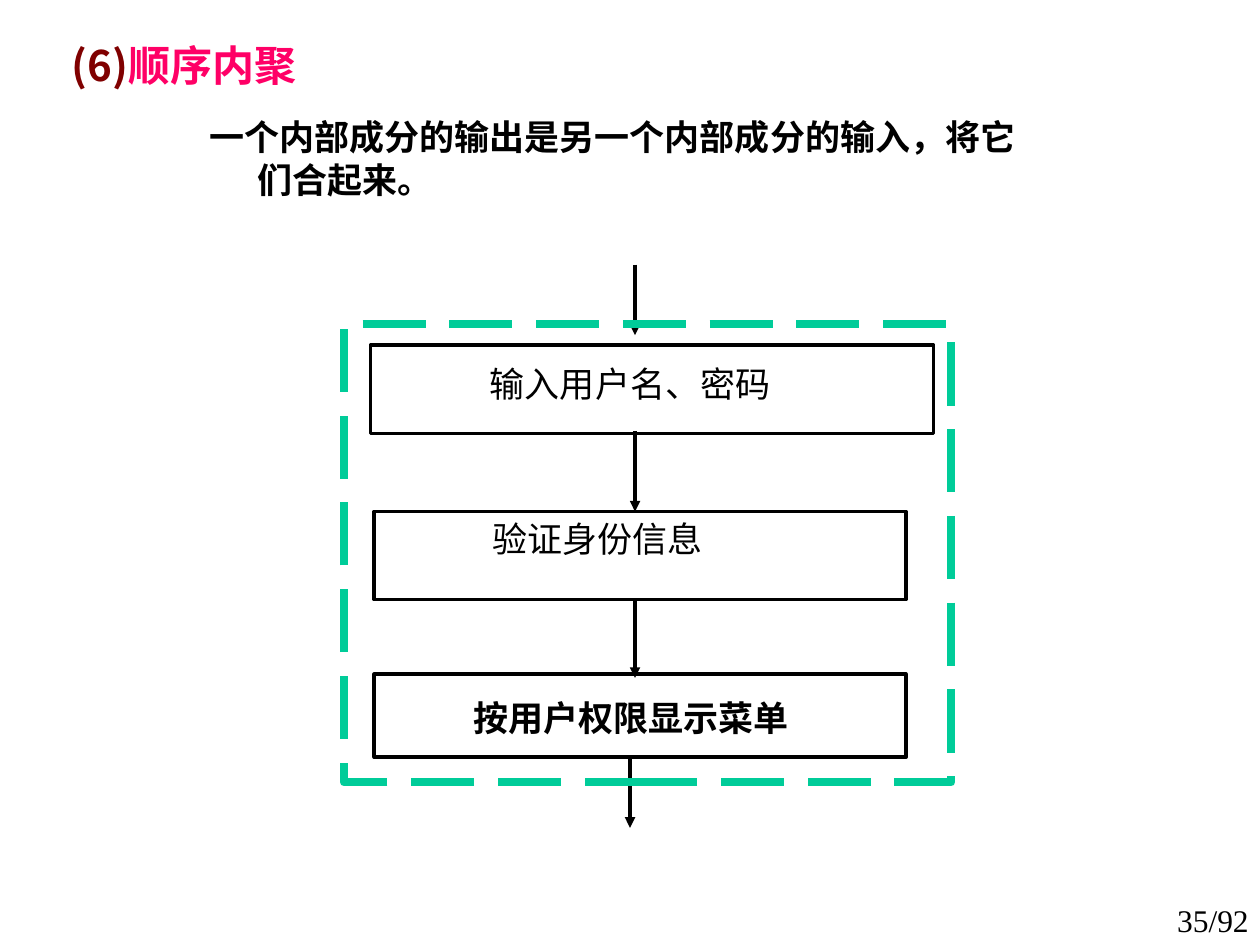
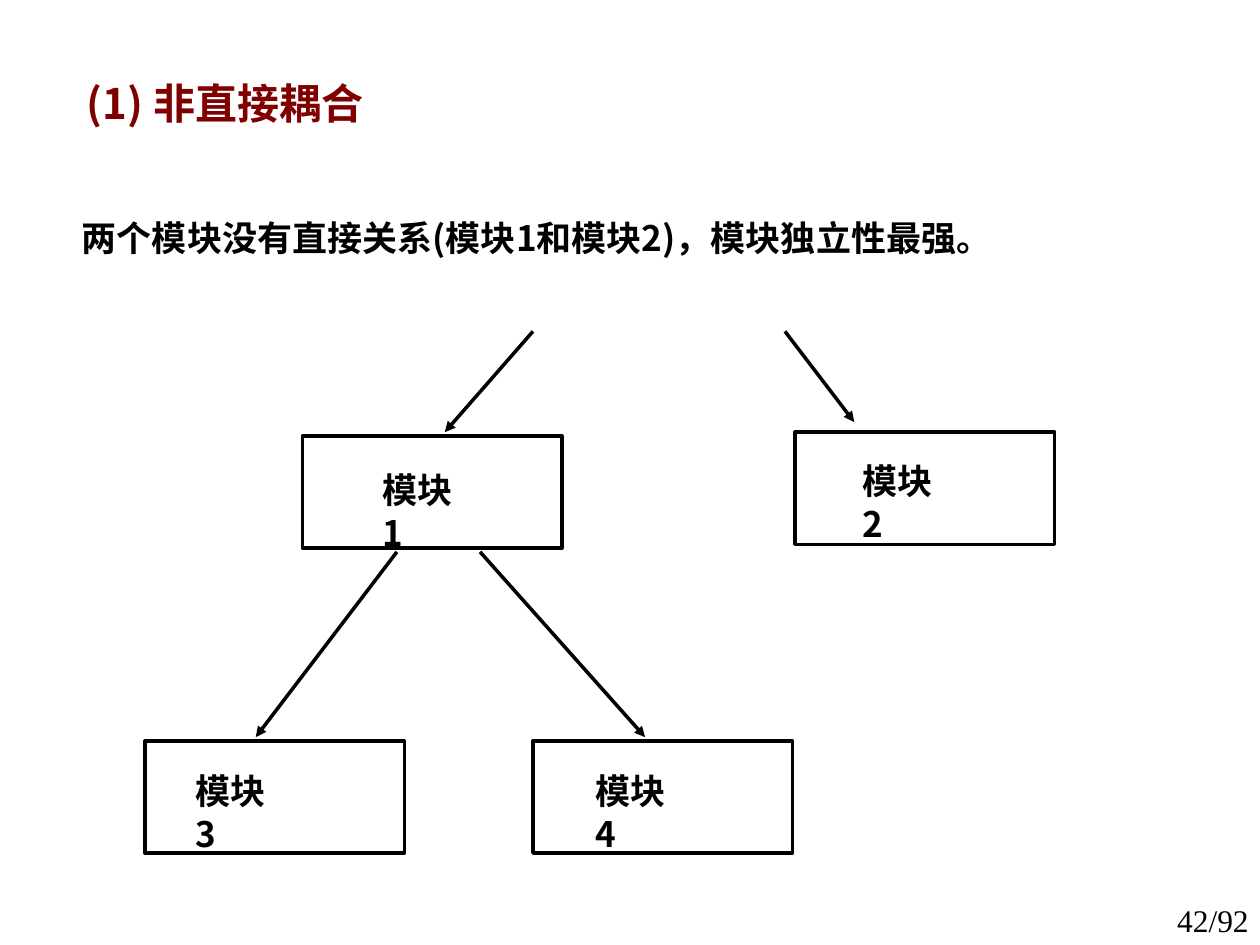
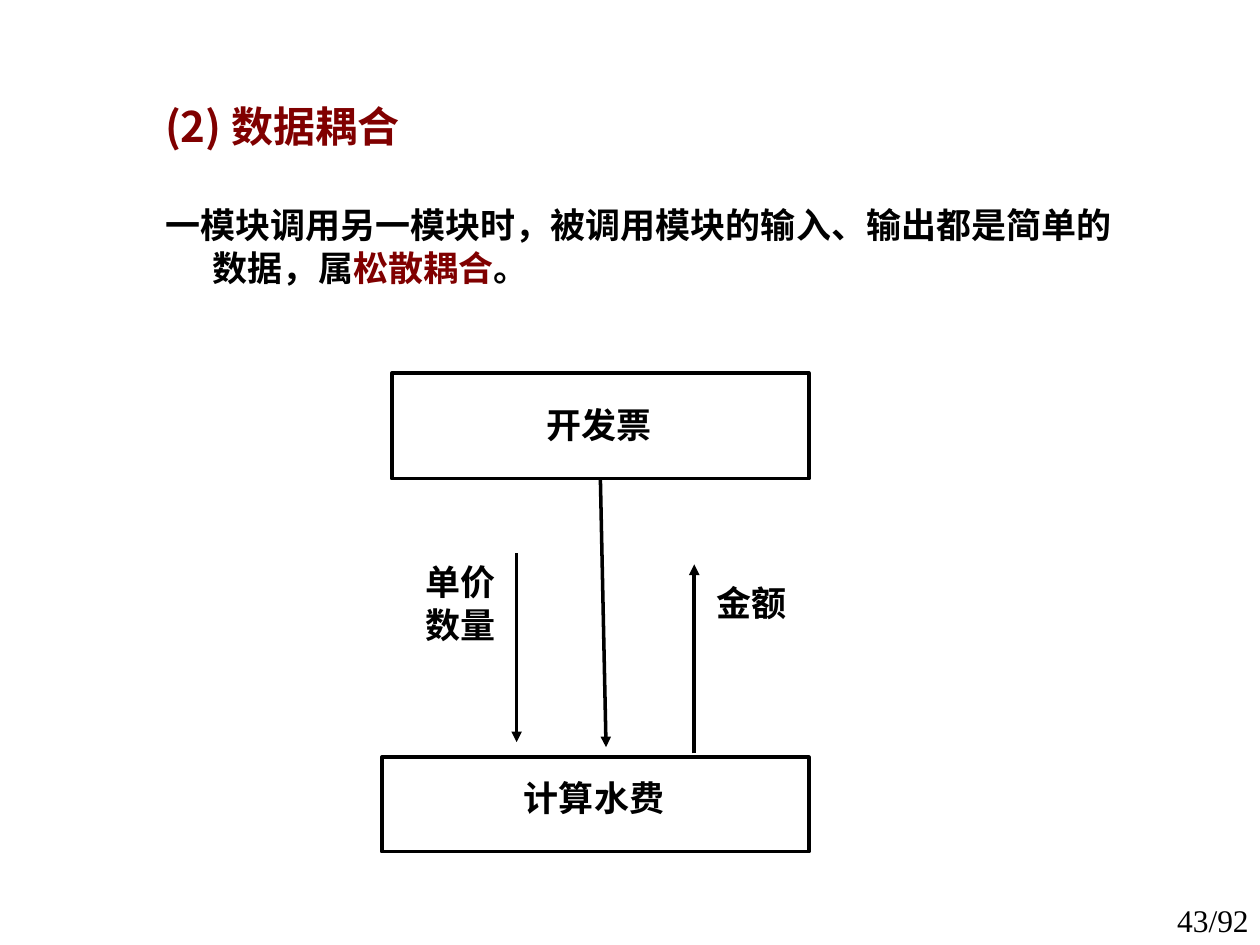
from lxml.etree import SubElement
from pptx import Presentation
from pptx.dml.color import RGBColor
from pptx.enum.dml import MSO_LINE
from pptx.enum.shapes import MSO_CONNECTOR, MSO_SHAPE
from pptx.enum.text import MSO_ANCHOR, MSO_AUTO_SIZE, PP_ALIGN
from pptx.oxml.ns import qn
from pptx.util import Inches, Pt

BLACK = RGBColor(0x00, 0x00, 0x00)
WHITE = RGBColor(0xFF, 0xFF, 0xFF)
MAROON = RGBColor(0x80, 0x00, 0x00)
PINK = RGBColor(0xFF, 0x00, 0x66)
GREEN = RGBColor(0x00, 0xCC, 0x99)
SANS = "Noto Sans CJK SC"
SERIF = "Times New Roman"

deck = Presentation()
deck.slide_width = Inches(10)
deck.slide_height = Inches(7.5)
COL = deck.slide_width / 100
ROW = deck.slide_height / 75


def grid(left, top, *size):
    spot = [left, top, *size]
    return [round(n * unit) for n, unit in zip(spot, (COL, ROW) * 2)]


def write(shape, text, size=20, bold=True, face=SANS, align=PP_ALIGN.LEFT,
          anchor=MSO_ANCHOR.TOP, wrap=True, pitch=Pt(24.5), hang=0):
    frame = shape.text_frame
    frame.word_wrap = wrap
    frame.auto_size = MSO_AUTO_SIZE.NONE
    frame.vertical_anchor = anchor
    rows = [[(line, BLACK)] for line in text.split("\n")] if isinstance(text, str) else [text]
    for i, row in enumerate(rows):
        para = frame.add_paragraph() if i else frame.paragraphs[0]
        para.alignment = align
        para.line_spacing = pitch
        para.space_before = Pt(0)
        props = para._p.get_or_add_pPr()
        props.set("marL", str(hang))
        props.set("indent", str(-hang))
        SubElement(props, qn("a:buNone"))
        for words, tint in row:
            run = para.add_run()
            run.text = words
            run.font.size = Pt(size)
            run.font.bold = bold
            run.font.color.rgb = tint
            run.font.name = face
            SubElement(run._r.get_or_add_rPr(), qn("a:ea")).set("typeface", SANS)


pages = [
    dict(
        num="35/92",
        title=([("(6)", MAROON), ("顺序内聚", PINK)], (4.7, 0, 64.2, 10.2)),
        body=([("一个内部成分的输出是另一个内部成分的输入，将它们合起来。", BLACK)],
              (15.6, 8.6, 68.7, 9.6)),
        rects=[(29.4, 27.4, 44.7, 7), (29.7, 40.6, 42.2, 7), (29.7, 53.5, 42.2, 6.6)],
        lines=[(50.4, 21, 50.4, 26.6), (50.4, 34.2, 50.4, 40.6),
               (50.4, 47.7, 50.4, 53.8), (50, 60.2, 50, 65.7)],
        tags=[("输入用户名、密码", False, (37.9, 28.2, 24.3, 4.3)),
              ("验证身份信息", False, (38.1, 40.5, 18.7, 4.3)),
              ("按用户权限显示菜单", True, (36.6, 54.7, 40.2, 4.3))],
        frames=[(27.3, 25.7, 48.2, 36.4)],
    ),
    dict(
        num="42/92",
        title=([("(1) 非直接耦合", MAROON)], (5.9, 3.9, 67.5, 8.5)),
        body=([("两个模块没有直接关系(模块1和模块2)，模块独立性最强。", BLACK)],
              (5.5, 16.6, 92, 5)),
        rects=[(left, top, 20.6, 8.9) for left, top in
               ((24, 34.6), (63.1, 34.3), (11.5, 58.8), (42.3, 58.8))],
        lines=[(38.1, 43.8, 51.2, 58.5), (31.5, 43.8, 20.3, 58.5),
               (42.3, 26.3, 35.3, 34.3), (62.3, 26.3, 67.8, 33.5)],
        tags=[(f"模块\u200b{i}".replace("\u200b", ""), True, (left, top, 9, 7.7)) for i, (left, top) in
              enumerate(((29.4, 36.6), (67.5, 35.9), (14.5, 60.5), (46.3, 60.5)), 1)],
        frames=[],
    ),
    dict(
        num="43/92",
        title=([("(2) 数据耦合", MAROON)], (12.1, 4.9, 74.2, 10.2)),
        body=([("一模块调用另一模块时，被调用模块的输入、输出都是简单的数据，属", BLACK),
               ("松散耦合", MAROON), ("。", BLACK)], (12.1, 15.6, 78.1, 9.6)),
        rects=[(31.1, 29.6, 33.1, 8.4), (30.3, 60.1, 33.9, 7.5)],
        lines=[(47.6, 38, 48.1, 59.3), (41, 43.9, 41, 58.9), (55.1, 59.8, 55.1, 44.8)],
        tags=[("开发票", True, (42.4, 31.5, 10.4, 4.3)),
              ("计算水费", True, (40.6, 61.1, 13.2, 4.3)),
              ("单价\n数量", True, (32.8, 43.9, 19.2, 7.7)),
              ("金额", True, (55.9, 45.6, 17.5, 4.3))],
        frames=[],
    ),
]

for page in pages:
    slide = deck.slides.add_slide(deck.slide_layouts[1])
    shapes = slide.shapes
    head, body = slide.placeholders
    for holder, (text, spot), style in (
        (head, page["title"], dict(size=24, anchor=MSO_ANCHOR.MIDDLE, pitch=1.0)),
        (body, page["body"], dict(hang=Inches(0.38))),
    ):
        holder.left, holder.top, holder.width, holder.height = grid(*spot)
        write(holder, text, **style)

    write(shapes.add_textbox(*grid(89.1, 71, 11, 4)), page["num"], size=18, bold=False,
          face=SERIF, align=PP_ALIGN.RIGHT, pitch=1.0)

    rects = []
    for spot in page["rects"]:
        rect = shapes.add_shape(MSO_SHAPE.RECTANGLE, *grid(*spot))
        rect.shadow.inherit = False
        rect.fill.solid()
        rect.fill.fore_color.rgb = WHITE
        rect.line.color.rgb = BLACK
        rect.line.width = Pt(2)
        rects.append(rect)

    for ends in page["lines"]:
        link = shapes.add_connector(MSO_CONNECTOR.STRAIGHT, *grid(*ends))
        link.line.color.rgb = BLACK
        link.line.width = Pt(2)
        SubElement(link.line._get_or_add_ln(), qn("a:tailEnd")).set("type", "triangle")
        SubElement(link._element.spPr, qn("a:effectLst"))
        for rect in rects:
            mid = rect.left + rect.width / 2
            base = rect.top + rect.height
            if max(abs(link.begin_x - mid), abs(link.begin_y - base)) < COL / 10:
                link.begin_connect(rect, 2)

    for text, bold, spot in page["tags"]:
        write(shapes.add_textbox(*grid(*spot)), text, bold=bold)

    for spot in page["frames"]:
        dash = shapes.add_shape(MSO_SHAPE.RECTANGLE, *grid(*spot))
        dash.shadow.inherit = False
        dash.fill.background()
        dash.line.color.rgb = GREEN
        dash.line.width = Pt(4.5)
        dash.line.dash_style = MSO_LINE.LONG_DASH

deck.save("out.pptx")
